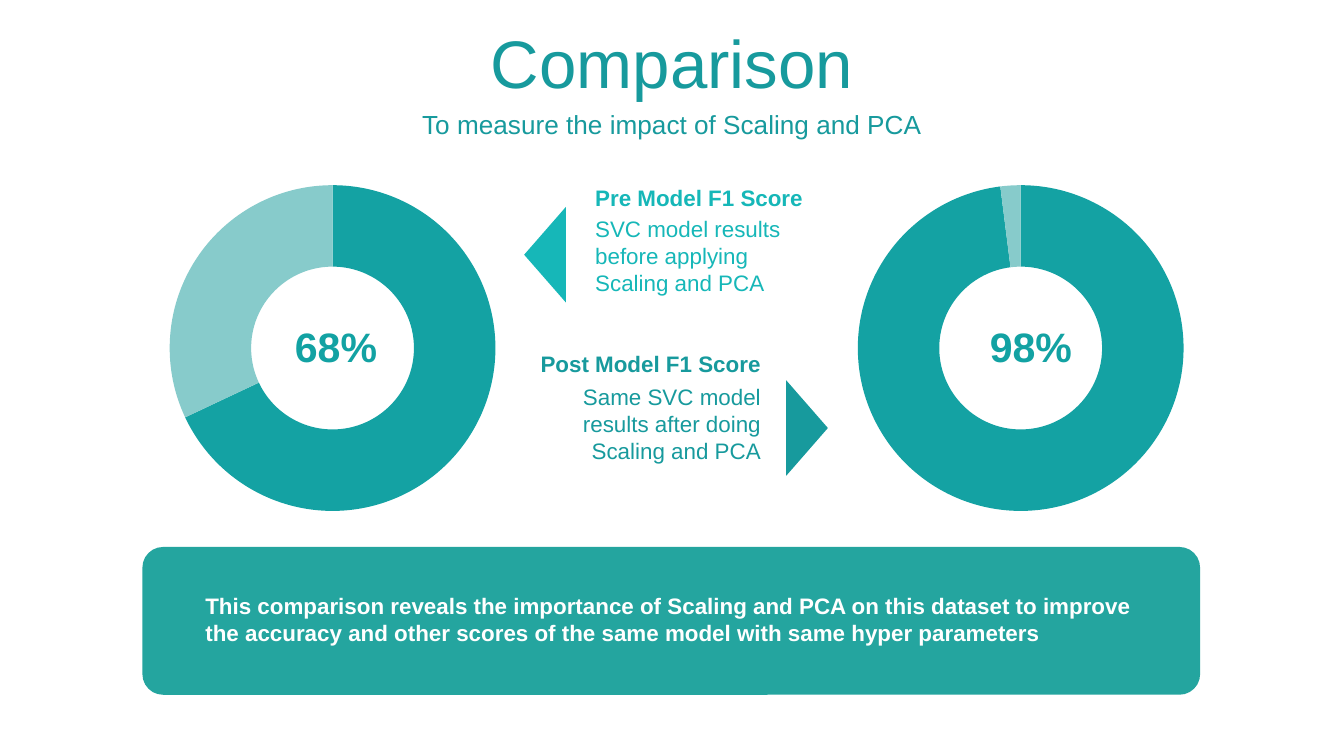
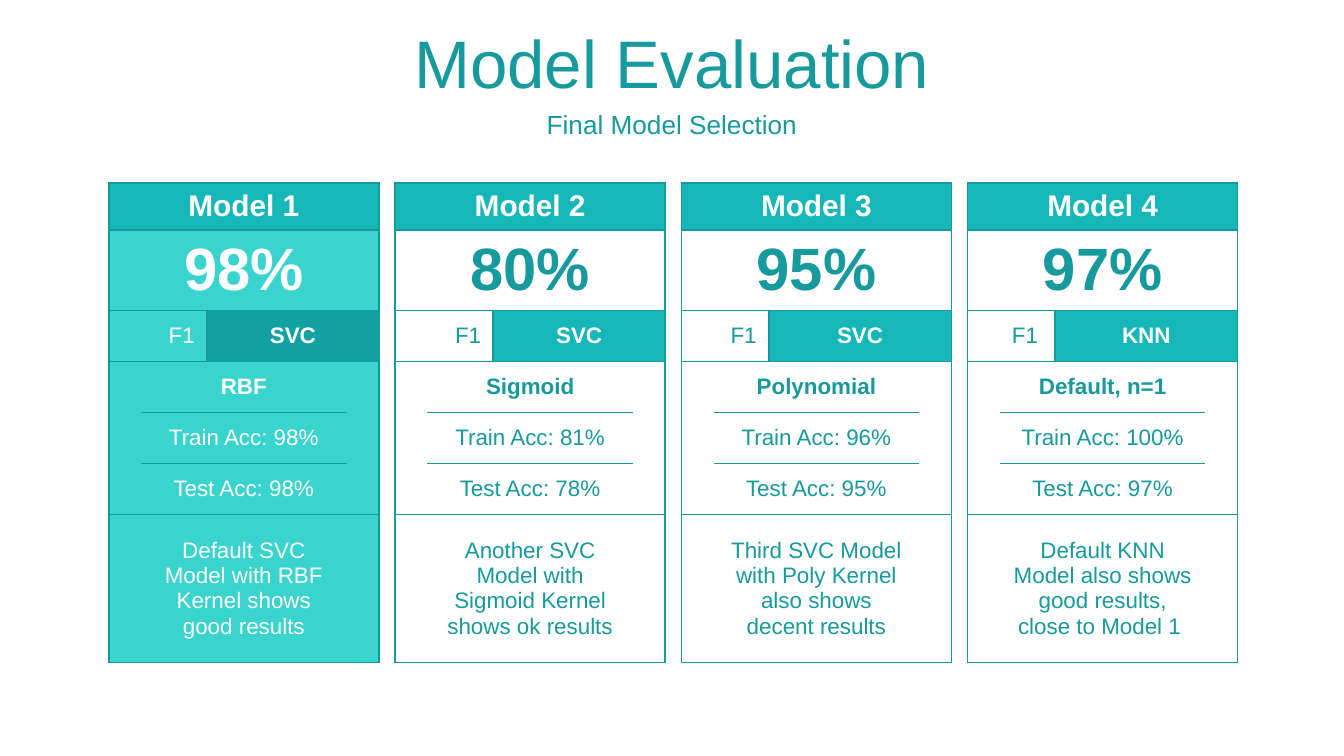
from dataclasses import dataclass
from lxml.etree import SubElement as Sub
from pptx import Presentation
from pptx.chart.data import CategoryChartData as ChartData
from pptx.dml.color import RGBColor as RGB
from pptx.enum.chart import XL_CHART_TYPE as ChartType
from pptx.enum.shapes import MSO_SHAPE as Shape
from pptx.enum.text import MSO_ANCHOR as Anchor, PP_ALIGN as Align
from pptx.oxml.ns import qn
from pptx.util import Inches, Pt

FONT = "Arial"
WHITE = RGB(0xFF, 0xFF, 0xFF)
TEAL = RGB(0x17, 0x9A, 0x9D)
CYAN = RGB(0x16, 0xB7, 0xB8)
DEEP = RGB(0x12, 0xA2, 0xA3)
RING = RGB(0x14, 0xA2, 0xA3)
PALE = RGB(0x87, 0xCB, 0xCB)
MINT = RGB(0x38, 0xD4, 0xCD)
SEA = RGB(0x24, 0xA5, 0x9F)
NO_STYLE = "{2D5ABB26-0587-4C30-8999-92F81FD0307C}"


@dataclass
class Box:
    left: float
    top: float
    width: float
    height: float

    def lengths(self) -> tuple:
        return tuple(map(Inches, (self.left, self.top, self.width, self.height)))


@dataclass
class Donut:
    left: float
    score: int
    label: float


@dataclass
class Note:
    head: str
    head_box: Box
    body: str
    body_box: Box
    arrow: Box
    angle: int
    color: RGB
    align: Align


@dataclass
class Model:
    name: str
    score: str
    kind: str
    kernel: str
    train: str
    test: str
    remark: str
    f1_width: float = 0.49
    f1_align: Align = Align.RIGHT
    best: bool = False


DONUTS = [Donut(1.06, 68, 2.09), Donut(6.18, 98, 7.26)]
NOTES = [
    Note("Pre Model F1 Score", Box(4.33, 1.32, 1.78, 0.3),
         "SVC model results before applying Scaling and PCA",
         Box(4.33, 1.55, 1.78, 0.71),
         Box(3.7, 1.74, 0.71, 0.31), 270, CYAN, Align.LEFT),
    Note("Post Model F1 Score", Box(3.9, 2.56, 1.86, 0.3),
         "Same SVC model results after doing Scaling and PCA",
         Box(3.98, 2.8, 1.78, 0.71),
         Box(5.65, 3.03, 0.71, 0.31), 90, TEAL, Align.RIGHT),
]
CLAIM = ("This comparison reveals the importance of Scaling and PCA on this "
         "dataset to improve the accuracy and other scores of the same model "
         "with same hyper parameters")
MODELS = [
    Model("Model 1", "98%", "SVC", "RBF", "Train Acc: 98%", "Test Acc: 98%",
          "Default SVC Model with RBF Kernel shows good results", best=True),
    Model("Model 2", "80%", "SVC", "Sigmoid", "Train Acc: 81%", "Test Acc: 78%",
          "Another SVC Model with Sigmoid Kernel shows ok results"),
    Model("Model 3", "95%", "SVC", "Polynomial", "Train Acc: 96%", "Test Acc: 95%",
          "Third SVC Model with Poly Kernel also shows decent results",
          f1_width=0.41),
    Model("Model 4", "97%", "KNN", "Default, n=1", "Train Acc: 100%", "Test Acc: 97%",
          "Default KNN Model also shows good results, close to Model 1 ",
          f1_width=0.41, f1_align=Align.LEFT),
]
ROWS = [0.35, 0.6, 0.38, 0.38, 0.38, 0.38, 1.1]
EDGE, INNER, PITCH = 0.24, 1.53, 2.13


# Shared text and slide parts
def write(frame, text: str, size: float, color: RGB,
          bold: bool = False, align: Align = Align.LEFT) -> None:
    frame.word_wrap = True
    frame.text = text
    para = frame.paragraphs[0]
    para.alignment = align
    for run in para.runs:
        font = run.font
        font.name, font.size, font.bold = FONT, Pt(size), bold
        font.color.rgb = color


def add_text(shapes, box: Box, text: str, size: float, color: RGB,
             bold: bool = False, align: Align = Align.LEFT):
    frame = shapes.add_textbox(*box.lengths()).text_frame
    write(frame, text, size, color, bold, align)
    return frame


def add_solid(slide, kind: Shape, box: Box, color: RGB):
    shape = slide.shapes.add_shape(kind, *box.lengths())
    shape.shadow.inherit = False
    shape.fill.solid()
    shape.fill.fore_color.rgb = color
    shape.line.fill.background()
    return shape


def add_slide(deck, title: str, sub: str):
    slide = deck.slides.add_slide(deck.slide_layouts[5])
    head = slide.shapes.title
    head.left, head.top, head.width, head.height = Box(0, 0.14, 10, 0.63).lengths()
    write(head.text_frame, title, 36, TEAL, align=Align.CENTER)
    head.text_frame.vertical_anchor = Anchor.MIDDLE
    frame = add_text(slide.shapes, Box(0, 0.77, 10, 0.31), sub, 14, TEAL,
                     align=Align.CENTER)
    frame.vertical_anchor = Anchor.MIDDLE
    return slide


# Comparison parts
def add_donut(slide, donut: Donut) -> None:
    data = ChartData()
    data.categories = ["1", "2"]
    data.add_series("Series 1", (donut.score, 100 - donut.score))
    box = Box(donut.left, 1.24, 2.83, 2.7)
    chart = slide.shapes.add_chart(ChartType.DOUGHNUT, *box.lengths(), data).chart
    chart.has_title = chart.has_legend = False
    chart.font.name, chart.font.size = FONT, Pt(18)
    plot = chart.plots[0]
    plot.vary_by_categories = True
    for i, color in enumerate((RING, PALE)):
        style = plot.series[0].points[i].format
        style.fill.solid()
        style.fill.fore_color.rgb = color
        style.line.fill.background()
    add_text(slide.shapes, Box(donut.label, 2.34, 0.82, 0.47),
             f"{donut.score}%", 22, DEEP, True, Align.CENTER)


def add_note(slide, note: Note) -> None:
    arrow = add_solid(slide, Shape.ISOSCELES_TRIANGLE, note.arrow, note.color)
    arrow.rotation = note.angle
    group = slide.shapes.add_group_shape()
    add_text(group.shapes, note.body_box, note.body, 12, note.color, align=note.align)
    add_text(group.shapes, note.head_box, note.head, 12, note.color, True, note.align)


# Model table parts
def set_edges(cell, sides: str) -> None:
    props = cell._tc.get_or_add_tcPr()
    for side in "LRTB":
        line = Sub(props, qn(f"a:ln{side}"), w=str(Pt(1)))
        if side in sides:
            fill = Sub(line, qn("a:solidFill"))
            Sub(fill, qn("a:srgbClr"), val=str(TEAL))
        else:
            Sub(line, qn("a:noFill"))


def find_sides(row: int, col: int, span: int) -> str:
    outer = span == 1 and col in (0, 3)
    sides = "L" if col == 0 or (row, col) == (2, 2) else ""
    if col + span == 4 or (row, col) == (2, 1):
        sides += "R"
    if not (outer and row in (4, 5)):
        sides += "T"
    if not (outer and row in (3, 4)):
        sides += "B"
    return sides


def add_model(slide, model: Model, left: float) -> None:
    cols = [EDGE, model.f1_width, INNER - model.f1_width, EDGE]
    box = Box(left, 1.36, sum(cols), sum(ROWS))
    frame = slide.shapes.add_table(len(ROWS), len(cols), *box.lengths())
    for style in frame.element.iter(qn("a:tableStyleId")):
        style.text = NO_STYLE
    table = frame.table
    table.first_row = table.horz_banding = False
    for col, width in zip(table.columns, cols):
        col.width = Inches(width)
    for row, height in zip(table.rows, ROWS):
        row.height = Inches(height)

    back, ink = (MINT, WHITE) if model.best else (WHITE, TEAL)
    tag = DEEP if model.best else CYAN
    mid = Align.CENTER

    def put(row: int, col: int, span: int, text: str = "", size: float = 12,
            color: RGB = ink, fill: RGB = back, bold: bool = False,
            align: Align = mid) -> None:
        cell = table.cell(row, col)
        if span > 1:
            cell.merge(table.cell(row, col + span - 1))
        cell.margin_left = cell.margin_right = Inches(0.09)
        cell.margin_top = cell.margin_bottom = Inches(0.03)
        cell.vertical_anchor = Anchor.MIDDLE
        if text:
            write(cell.text_frame, text, size, color, bold, align)
        set_edges(cell, find_sides(row, col, span))
        cell.fill.solid()
        cell.fill.fore_color.rgb = fill

    put(0, 0, 4, model.name, 16, WHITE, CYAN, True)
    put(1, 0, 4, model.score, 32, bold=True)
    put(2, 0, 1)
    put(2, 1, 1, "F1", align=model.f1_align)
    put(2, 2, 2, model.kind, 12, WHITE, tag, True)
    details = (model.kernel, model.train, model.test, model.remark)
    for row, text in enumerate(details, 3):
        put(row, 0, 1)
        put(row, 1, 2, text, bold=row == 3)
        put(row, 3, 1)


def main() -> None:
    deck = Presentation()
    deck.slide_width = Inches(10)
    deck.slide_height = deck.slide_width * 9 // 16

    # Comparison
    slide = add_slide(deck, "Comparison", "To measure the impact of Scaling and PCA")
    for donut in DONUTS:
        add_donut(slide, donut)
    for note in NOTES:
        add_note(slide, note)
    panel = add_solid(slide, Shape.ROUNDED_RECTANGLE, Box(1.06, 4.07, 7.87, 1.1), SEA)
    panel.adjustments[0] = 0.14
    add_text(slide.shapes, Box(1.43, 4.36, 7.13, 0.5), CLAIM, 12, WHITE, True)

    # Model evaluation
    slide = add_slide(deck, "Model Evaluation", "Final Model Selection")
    for i, model in enumerate(MODELS):
        add_model(slide, model, 0.81 + i * PITCH)

    deck.save("out.pptx")


if __name__ == "__main__":
    main()
